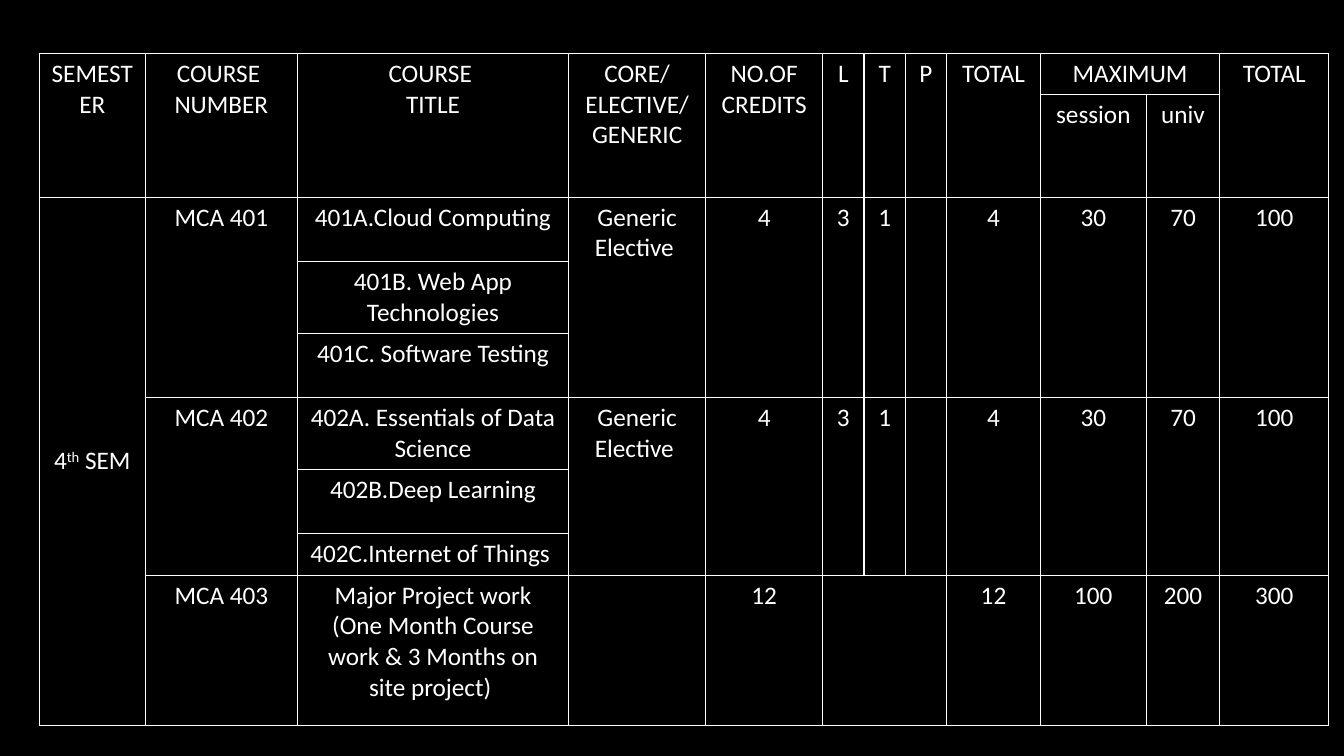
from dataclasses import dataclass

from lxml import etree
from pptx import Presentation
from pptx.dml.color import RGBColor
from pptx.enum.text import MSO_ANCHOR, PP_ALIGN
from pptx.oxml.ns import qn
from pptx.table import Table, _Cell
from pptx.util import Inches, Pt

CENTER = PP_ALIGN.CENTER
MIDDLE = MSO_ANCHOR.MIDDLE
COLORS = {"back": "000000", "ink": "FFFFFF"}
FONT, SIZE, LINE = "Calibri", 18, 1
WIDTHS = [1.05, 1.51, 2.69, 1.36, 1.16, 0.41, 0.41, 0.41, 0.93, 1.05, 0.73, 1.08]
HEIGHTS = [0.41, 1.01, 0.64, 0.71, 0.64, 0.71, 0.64, 0.41, 1.49]
HEADS = ["SEMESTER", "COURSE \nNUMBER", "COURSE \nTITLE",
         "CORE/\nELECTIVE/\nGENERIC", "NO.OF\nCREDITS",
         "L", "T", "P", "TOTAL", "MAXIMUM", "", "TOTAL"]
TITLE_COL, HOURS_COL, MAX_COL = 2, 5, 9
TOP_ROW = 2


@dataclass
class Course:
    code: str
    titles: list[str]
    kind: str
    marks: list[str]  # credits, L, T, P, total, session, univ, total


COURSES = [
    Course("MCA 401",
           ["401A.Cloud Computing", "401B. Web App Technologies", "401C. Software Testing"],
           "Generic Elective ", ["4", "3", "1", "", "4", "30", "70", "100"]),
    Course("MCA 402",
           ["402A. Essentials of Data Science", "402B.Deep Learning", "402C.Internet of Things "],
           "Generic Elective ", ["4", "3", "1", "", "4", "30", "70", "100"]),
    Course("MCA 403",
           ["Major Project work (One Month Course work & 3 Months on site project) "],
           "", ["12", "", "", "", "12", "100", "200", "300"]),
]


def add_edges(cell: _Cell) -> None:
    """Draw a thin line on all four sides of the cell."""
    props = cell._tc.get_or_add_tcPr()
    for spot, side in enumerate(("lnL", "lnR", "lnT", "lnB")):
        edge = etree.Element(qn(f"a:{side}"), w=str(Pt(LINE)))
        fill = etree.SubElement(edge, qn("a:solidFill"))
        etree.SubElement(fill, qn("a:srgbClr"), val=COLORS["ink"])
        props.insert(spot, edge)


def style_text(cell: _Cell) -> None:
    for para in cell.text_frame.paragraphs:
        para.alignment = CENTER
        for run in para.runs:
            run.font.name = FONT
            run.font.size = Pt(SIZE)
            run.font.color.rgb = RGBColor.from_string(COLORS["ink"])


def put(table: Table, row: int, col: int, text: str, rows: int = 1, cols: int = 1) -> None:
    """Write text in a cell that spans the given rows and columns."""
    cell = table.cell(row, col)
    if rows * cols > 1:
        cell.merge(table.cell(row + rows - 1, col + cols - 1))
    cell.text_frame.text = text


def fill_head(table: Table) -> None:
    for col, text in enumerate(HEADS):
        if col == MAX_COL:
            put(table, 0, col, text, cols=2)
        elif text:
            put(table, 0, col, text, rows=2)
    put(table, 1, MAX_COL, "session")
    put(table, 1, MAX_COL + 1, "univ")


def fill_term(table: Table) -> None:
    """Fill the tall semester cell, with a raised ordinal."""
    put(table, TOP_ROW, 0, "", rows=len(HEIGHTS) - TOP_ROW)
    cell = table.cell(TOP_ROW, 0)
    cell.vertical_anchor = MIDDLE
    para = cell.text_frame.paragraphs[0]
    for part in ("4", "th", " SEM"):
        para.add_run().text = part
    para.runs[1].font._element.set("baseline", "30000")


def fill_course(table: Table, row: int, course: Course) -> None:
    span = len(course.titles)
    for step, title in enumerate(course.titles):
        put(table, row + step, TITLE_COL, title)
    put(table, row, 1, course.code, rows=span)
    hours = any(course.marks[1:4])
    if not hours:
        put(table, row, HOURS_COL, "", cols=3)
    for col, text in enumerate([course.kind, *course.marks], TITLE_COL + 1):
        if hours or text:
            put(table, row, col, text, rows=span)


def main() -> None:
    deck = Presentation()
    deck.slide_width, deck.slide_height = Inches(13.33), Inches(7.5)
    slide = deck.slides.add_slide(deck.slide_layouts[6])
    back = slide.background.fill
    back.solid()
    back.fore_color.rgb = RGBColor.from_string(COLORS["back"])

    table = slide.shapes.add_table(
        len(HEIGHTS), len(WIDTHS), Inches(0.39), Inches(0.53),
        Inches(sum(WIDTHS)), Inches(sum(HEIGHTS))).table
    table.first_row = table.horz_banding = False
    for col, width in zip(table.columns, WIDTHS):
        col.width = Inches(width)
    for line, height in zip(table.rows, HEIGHTS):
        line.height = Inches(height)

    fill_head(table)
    fill_term(table)
    row = TOP_ROW
    for course in COURSES:
        fill_course(table, row, course)
        row += len(course.titles)
    for cell in table.iter_cells():
        cell.fill.background()
        add_edges(cell)
        style_text(cell)
    deck.save("out.pptx")


if __name__ == "__main__":
    main()
